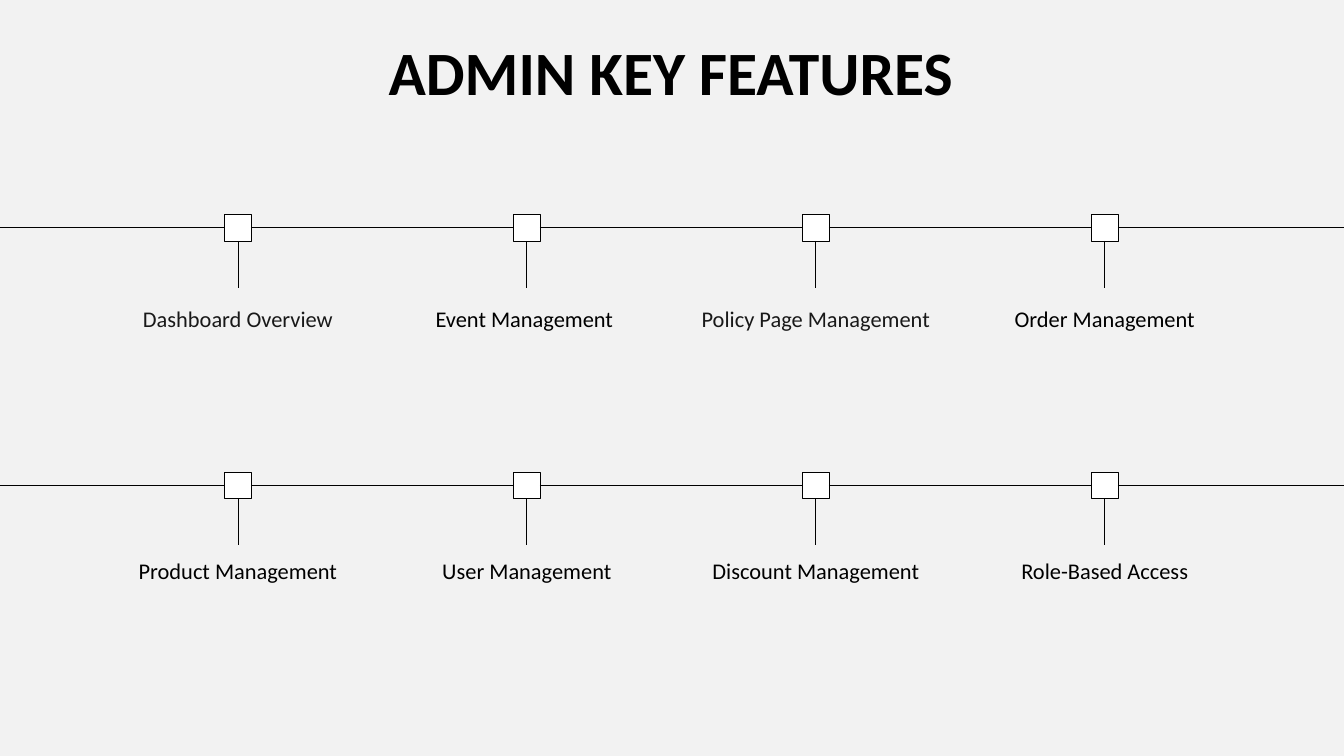
from dataclasses import dataclass

from lxml.etree import SubElement
from pptx import Presentation
from pptx.dml.color import RGBColor as Color
from pptx.enum.shapes import MSO_CONNECTOR as Connector, MSO_SHAPE as Shape
from pptx.enum.text import MSO_ANCHOR as Anchor, PP_ALIGN as Align
from pptx.oxml.ns import qn
from pptx.util import Inches, Pt


@dataclass(frozen=True)
class Theme:
    background: Color = Color(0xF2, 0xF2, 0xF2)
    ink: Color = Color(0, 0, 0)
    soft_ink: Color = Color(0x19, 0x19, 0x19)
    node: Color = Color(0xFF, 0xFF, 0xFF)
    font: str = "Calibri"
    title_size: float = 66
    label_size: float = 24
    line_width: float = 0.75


@dataclass(frozen=True)
class Grid:
    width: float = 20
    height: float = 11.25
    first_column: float = 3.54
    column_step: float = 4.3
    node_side: float = 0.39
    stem: float = 0.7
    label_width: float = 3.96
    inset: float = 0.2

    def column(self, index: int) -> float:
        return self.first_column + index * self.column_step


@dataclass(frozen=True)
class Feature:
    name: str
    height: float
    color: Color


@dataclass(frozen=True)
class Timeline:
    axis: float
    label_top: float
    features: tuple[Feature, ...]


THEME = Theme()
GRID = Grid()
TOP, LEFT, BOTTOM, RIGHT = range(4)

TIMELINES = (
    Timeline(3.39, 4.34, (
        Feature("Dashboard Overview", 0.71, THEME.soft_ink),
        Feature("Event Management ", 1.07, THEME.ink),
        Feature("Policy Page Management", 0.97, THEME.soft_ink),
        Feature("Order Management", 0.91, THEME.ink),
    )),
    Timeline(7.22, 8.09, (
        Feature("Product Management", 1.02, THEME.ink),
        Feature("User Management", 0.95, THEME.ink),
        Feature("Discount Management", 1.02, THEME.ink),
        Feature("Role-Based Access", 0.71, THEME.ink),
    )),
)


def add_text(slide, text: str, left: float, top: float, width: float, height: float,
             size: float, color: Color, bold: bool = False) -> None:
    box = slide.shapes.add_textbox(Inches(left), Inches(top), Inches(width), Inches(height))
    frame = box.text_frame
    frame.word_wrap = True
    frame.vertical_anchor = Anchor.TOP
    frame.margin_left = frame.margin_right = Inches(GRID.inset)
    frame.margin_top = frame.margin_bottom = Inches(GRID.inset)
    paragraph = frame.paragraphs[0]
    paragraph.alignment = Align.CENTER
    run = paragraph.add_run()
    run.text = text
    run.font.name = THEME.font
    run.font.size = Pt(size)
    run.font.bold = bold
    run.font.color.rgb = color


def add_node(slide, center: float, axis: float):
    side = GRID.node_side
    node = slide.shapes.add_shape(Shape.RECTANGLE, Inches(center - side / 2),
                                  Inches(axis - side / 2), Inches(side), Inches(side))
    node.shadow.inherit = False
    node.fill.solid()
    node.fill.fore_color.rgb = THEME.node
    node.line.color.rgb = THEME.ink
    node.line.width = Pt(THEME.line_width)
    return node


def add_line(slide, start: tuple[float, float], end: tuple[float, float]):
    line = slide.shapes.add_connector(Connector.STRAIGHT, *map(Inches, start + end))
    line.line.color.rgb = THEME.ink
    line.line.width = Pt(THEME.line_width)
    SubElement(line._element.spPr, qn("a:effectLst"))
    return line


def add_timeline(slide, timeline: Timeline) -> None:
    axis, half = timeline.axis, GRID.node_side / 2
    centers = [GRID.column(index) for index in range(len(timeline.features))]
    nodes = [add_node(slide, center, axis) for center in centers]

    starts = [0] + [center + half for center in centers]
    ends = [center - half for center in centers] + [GRID.width]
    for start, end, before, after in zip(starts, ends, [None] + nodes, nodes + [None]):
        segment = add_line(slide, (start, axis), (end, axis))
        if before is not None:
            segment.begin_connect(before, RIGHT)
        if after is not None:
            segment.end_connect(after, LEFT)

    for feature, center, node in zip(timeline.features, centers, nodes):
        stem = add_line(slide, (center, axis + half), (center, axis + half + GRID.stem))
        stem.begin_connect(node, BOTTOM)
        add_text(slide, feature.name, center - GRID.label_width / 2, timeline.label_top,
                 GRID.label_width, feature.height, THEME.label_size, feature.color)


def main() -> None:
    presentation = Presentation()
    presentation.slide_width = Inches(GRID.width)
    presentation.slide_height = Inches(GRID.height)
    slide = presentation.slides.add_slide(presentation.slide_layouts[6])
    slide.background.fill.solid()
    slide.background.fill.fore_color.rgb = THEME.background

    add_text(slide, "ADMIN KEY FEATURES", 1.56, 0.31, 16.85, 1.18,
             THEME.title_size, THEME.ink, bold=True)
    for timeline in TIMELINES:
        add_timeline(slide, timeline)
    presentation.save("out.pptx")


if __name__ == "__main__":
    main()
